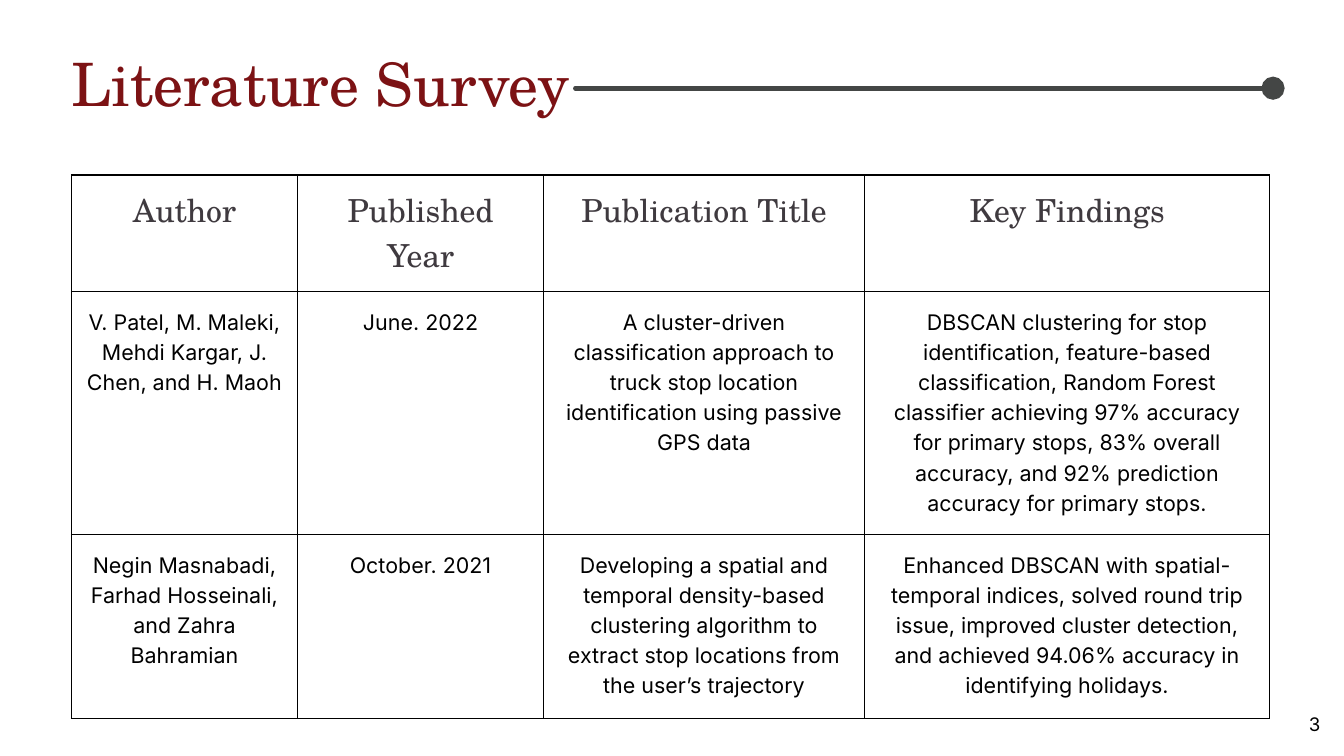
import pptx
import pptx.util
import pptx.dml.color
import pptx.enum.shapes
import pptx.enum.text
import pptx.oxml
import pptx.oxml.ns

Pt = pptx.util.Pt
ALIGN = pptx.enum.text.PP_ALIGN
COLORS = {"title": "7C1214", "rule": "444645", "header": "3F3A3F", "text": "000000"}
SERIF, SANS = "TeX Gyre Schola", "Inter"
NS = pptx.oxml.ns.nsdecls("a")


def write(tf, text, size, font, color, spacing, align):
    p = tf.paragraphs[0]
    p.alignment = align
    p.line_spacing = Pt(spacing)
    r = p.add_run()
    r.text = text
    r.font.size = Pt(size)
    r.font.name = font
    r.font.color.rgb = pptx.dml.color.RGBColor.from_string(COLORS[color])


def set_frame(tf, wrap):
    tf.margin_left = tf.margin_right = tf.margin_top = tf.margin_bottom = 0
    tf.vertical_anchor = pptx.enum.text.MSO_ANCHOR.TOP
    tf.auto_size = pptx.enum.text.MSO_AUTO_SIZE.SHAPE_TO_FIT_TEXT
    tf.word_wrap = wrap


prs = pptx.Presentation()
prs.slide_width, prs.slide_height = Pt(1440), Pt(810)
s = prs.slides.add_slide(prs.slide_layouts[5])

title = s.shapes.title
title.left, title.top, title.width, title.height = Pt(76.5), Pt(65), Pt(535), Pt(67.5)
set_frame(title.text_frame, True)
write(title.text_frame, "Literature Survey", 64.1, SERIF, "title", 61.6, ALIGN.LEFT)

rule = s.shapes.add_connector(
    pptx.enum.shapes.MSO_CONNECTOR.STRAIGHT, Pt(616.5), Pt(94.5), Pt(1364), Pt(94.5)
)
rule.line.width = Pt(5)
rule.line.color.rgb = pptx.dml.color.RGBColor.from_string(COLORS["rule"])
ln = rule.line._get_or_add_ln()
ln.set("cap", "rnd")
ln.append(pptx.oxml.parse_xml(f'<a:tailEnd {NS} type="oval" w="lg" len="lg"/>'))
rule._element.spPr.append(pptx.oxml.parse_xml(f"<a:effectLst {NS}/>"))

rows = [
    ["Author", "Published Year", "Publication Title", "Key Findings"],
    [
        "V. Patel, M. Maleki, Mehdi Kargar, J. Chen, and H. Maoh",
        "June. 2022",
        "A cluster-driven classification approach to truck stop location "
        "identification using passive GPS data",
        "DBSCAN clustering for stop identification, feature-based classification, "
        "Random Forest classifier achieving 97% accuracy for primary stops, "
        "83% overall accuracy, and 92% prediction accuracy for primary stops.",
    ],
    [
        "Negin Masnabadi, Farhad Hosseinali, and Zahra Bahramian",
        "October. 2021",
        "Developing a spatial and temporal density-based clustering algorithm "
        "to extract stop locations from the user’s trajectory",
        "Enhanced DBSCAN with spatial-temporal indices, solved round trip issue, "
        "improved cluster detection, and achieved 94.06% accuracy in "
        "identifying holidays.",
    ],
]
col_widths = [242.5, 263.5, 344, 434]
row_heights = [85, 260, 197.5]

table = s.shapes.add_table(
    len(rows), len(col_widths), Pt(76.5), Pt(187.5), Pt(sum(col_widths)), Pt(sum(row_heights))
).table
table.first_row = table.horz_banding = False
for column, width in zip(table.columns, col_widths):
    column.width = Pt(width)
for i, (row, height) in enumerate(zip(rows, row_heights)):
    table.rows[i].height = Pt(height)
    style = (34, SERIF, "header", 47.6) if i == 0 else (23, SANS, "text", 32.2)
    for j, text in enumerate(row):
        cell = table.cell(i, j)
        cell.margin_left = cell.margin_right = Pt(15)
        cell.margin_top = cell.margin_bottom = Pt(15)
        tcPr = cell._tc.get_or_add_tcPr()
        for side in "LRTB":
            tcPr.append(pptx.oxml.parse_xml(
                f'<a:ln{side} {NS} w="{Pt(1.5)}"><a:solidFill>'
                f'<a:srgbClr val="{COLORS["text"]}"/></a:solidFill></a:ln{side}>'
            ))
        cell.fill.background()
        write(cell.text_frame, text, *style, ALIGN.CENTER)

number = s.shapes.add_textbox(Pt(1402.5), Pt(759.5), Pt(12), Pt(16))
set_frame(number.text_frame, False)
write(number.text_frame, "3", 20, SANS, "text", 28, ALIGN.CENTER)

prs.save("out.pptx")
